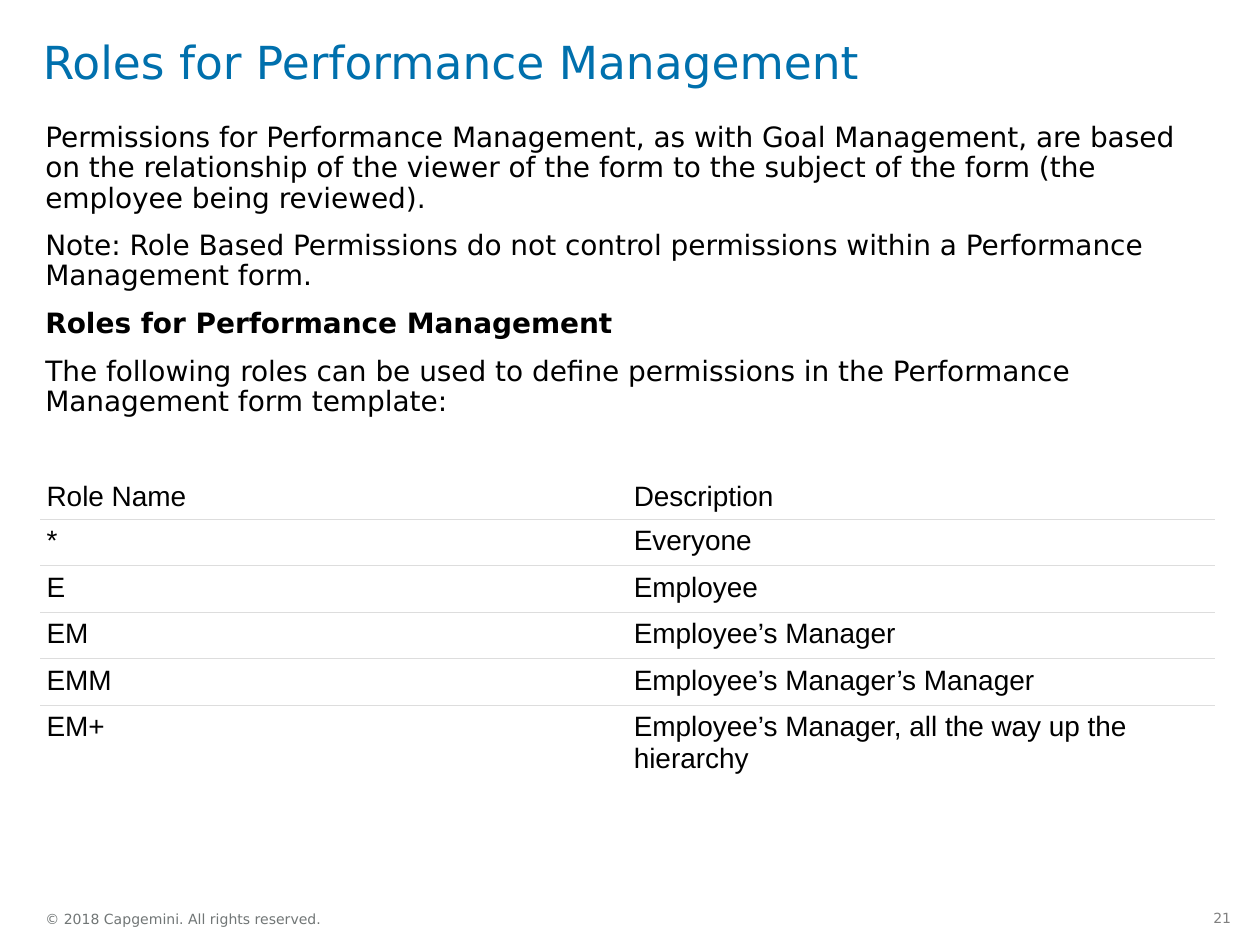
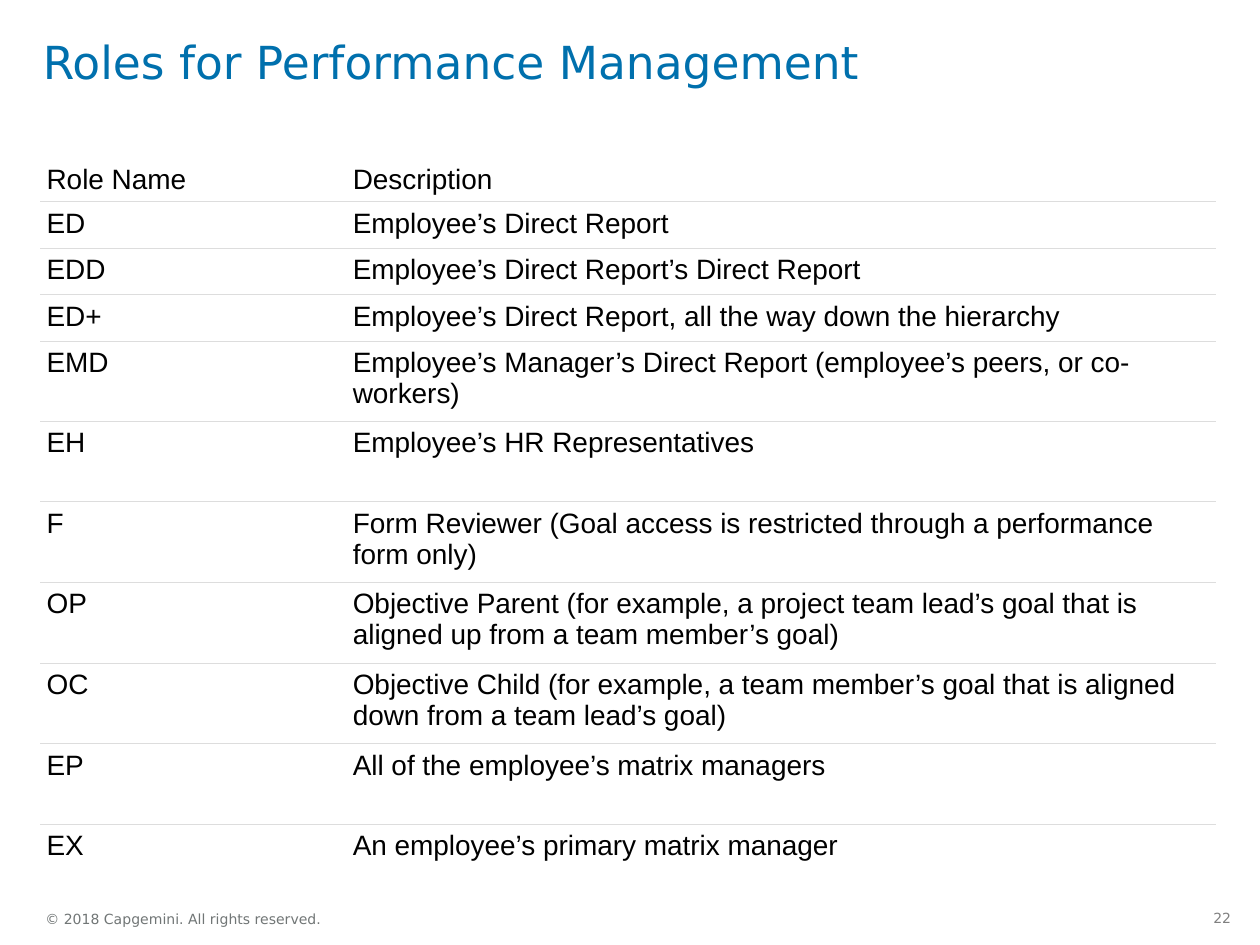
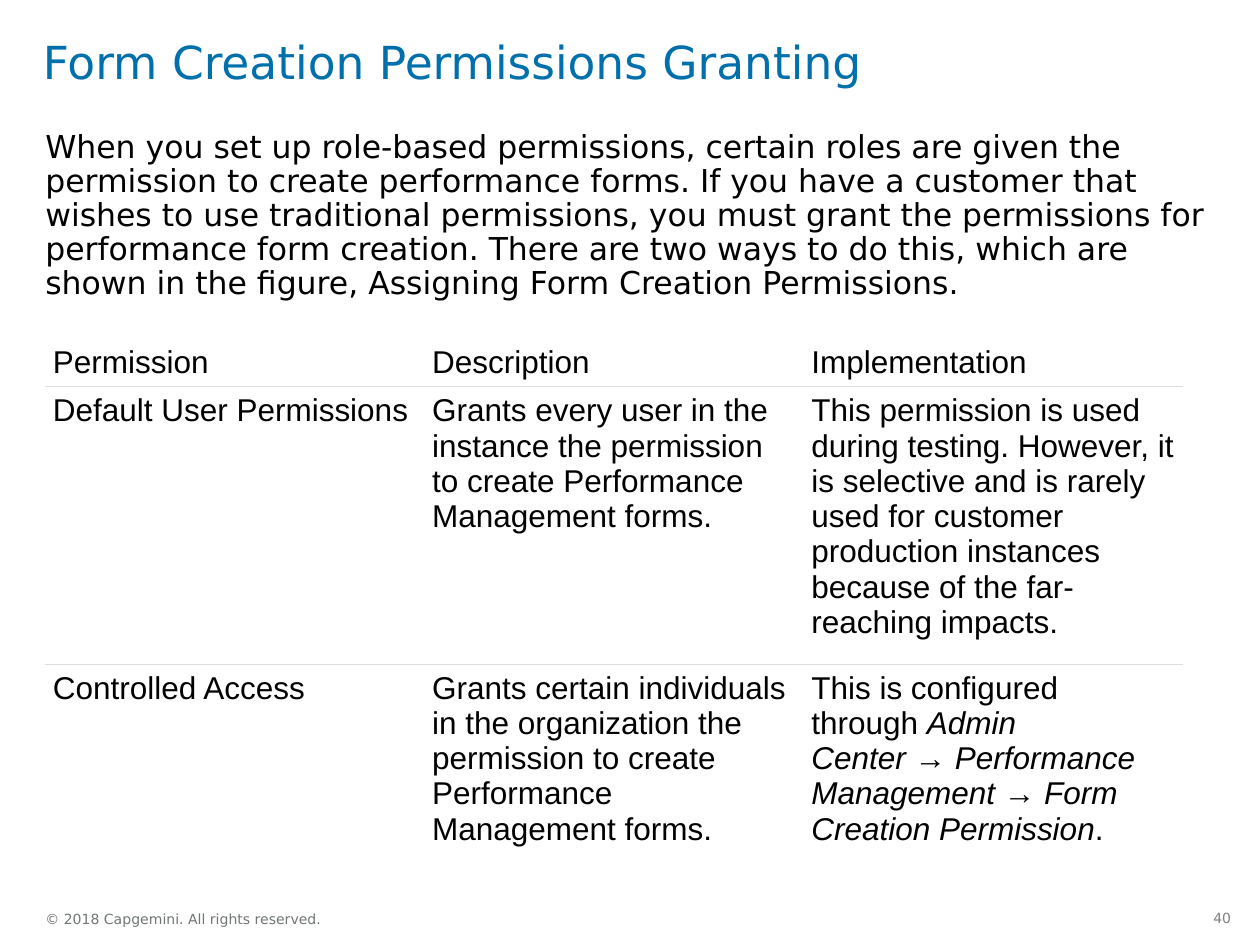
from pptx import Presentation
from pptx.dml.color import RGBColor
from pptx.enum.text import MSO_ANCHOR as ANCHOR, MSO_AUTO_SIZE as AUTO, PP_ALIGN as ALIGN
from pptx.oxml import parse_xml
from pptx.oxml.ns import nsdecls, qn
from pptx.util import Inches, Pt

BLUE = RGBColor(0x00, 0x70, 0xAD)
BLACK = RGBColor(0x00, 0x00, 0x00)
WHITE = RGBColor(0xFF, 0xFF, 0xFF)
FOOTER_GRAY = RGBColor(0x71, 0x76, 0x76)
NUMBER_GRAY = RGBColor(0x80, 0x80, 0x80)
RULE_GRAY = RGBColor(0xDD, 0xDD, 0xDD)
TEXT_FONT, TABLE_FONT = "DejaVu Sans", "Arial"
PLAIN_TABLE = "{2D5ABB26-0587-4C30-8999-92F81FD0307C}"
TITLE_ONLY, TITLE_BODY = 5, 1
NBSP = chr(160)

TITLE_BOX = (0.34, 0.29, 9.31, 0.94)
FOOTER_BOX = (0.36, 7.17, 2.2, 0.24)
NUMBER_BOX = (9.48, 7.17, 0.39, 0.24)
COPYRIGHT = "© 2018 Capgemini. All rights reserved."

ROLES_INTRO = [
    "Permissions for Performance Management, as with Goal Management, are based on the "
    "relationship of the viewer of the form to the subject of the form (the employee being "
    "reviewed).",
    "Note: Role Based Permissions do not control permissions within a Performance Management "
    "form.",
    "_Roles for Performance Management_",
    "The following roles can be used to define permissions in the Performance Management form "
    "template:",
]
MANAGER_ROLES = [
    ("Role Name", "Description"),
    ("*", "Everyone"),
    ("E", "Employee"),
    ("EM", "Employee’s Manager"),
    ("EMM", "Employee’s Manager’s Manager"),
    ("EM+", "Employee’s Manager, all the way up the hierarchy"),
]
OTHER_ROLES = [
    ("Role Name", "Description"),
    ("ED", "Employee’s Direct Report"),
    ("EDD", "Employee’s Direct Report’s Direct Report"),
    ("ED+", "Employee’s Direct Report, all the way down the hierarchy"),
    ("EMD", "Employee’s Manager’s Direct Report (employee’s peers, or co-workers)"),
    ("EH", "Employee’s HR Representatives"),
    ("F", "Form Reviewer (Goal access is restricted through a performance form only)"),
    ("OP", "Objective Parent (for example, a project team lead’s goal that is aligned up from "
           "a team member’s goal)"),
    ("OC", "Objective Child (for example, a team member’s goal that is aligned down from a "
           "team lead’s goal)"),
    ("EP", "All of the employee’s matrix managers"),
    ("EX", "An employee’s primary matrix manager"),
]
CREATION_INTRO = [
    "When you set up role-based permissions, certain roles are given the permission to create "
    "performance forms. If you have a customer that wishes to use traditional permissions, you "
    "must grant the permissions for performance form creation. There are two ways to do this, "
    "which are shown in the figure, Assigning Form Creation Permissions.",
]
ARROW = f"{NBSP}→{NBSP}"
CREATION_PERMISSIONS = [
    ("Permission", "Description", "Implementation"),
    ("Default User Permissions",
     "Grants every user in the instance the permission to create Performance Management forms.",
     "This permission is used during testing. However, it is selective and is rarely used for "
     "customer production instances because of the far-reaching impacts."),
    ("Controlled Access",
     "Grants certain individuals in the organization the permission to create Performance "
     "Management forms.",
     f"This is configured through{NBSP}_Admin Center_{ARROW}_Performance Management_{ARROW}"
     "_Form Creation Permission_."),
]


def apply(target, **values):
    for name, value in values.items():
        setattr(target, name, value)


def place(sp, box):
    sp.left, sp.top, sp.width, sp.height = map(Inches, box)


def set_margins(target, side, top):
    x, y = Inches(side), Inches(top)
    apply(target, margin_left=x, margin_right=x, margin_top=y, margin_bottom=y)


def add_runs(p, text, size, color, font=TEXT_FONT, accent="bold"):
    for i, part in enumerate(text.split("_")):
        if part:
            r = p.add_run()
            r.text = part
            apply(r.font, name=font, size=Pt(size), **{accent: i % 2 == 1})
            r.font.color.rgb = color


def prepare_frame(sp, box):
    place(sp, box)
    tf = sp.text_frame
    set_margins(tf, 0, 0)
    apply(tf, vertical_anchor=ANCHOR.TOP, word_wrap=True, auto_size=AUTO.NONE)
    return tf


def add_title(s, text):
    p = prepare_frame(s.shapes.title, TITLE_BOX).paragraphs[0]
    apply(p, alignment=ALIGN.LEFT, line_spacing=Pt(30))
    add_runs(p, text, 26, BLUE)


def add_body(s, box, paragraphs, size):
    tf = prepare_frame(s.placeholders[1], box)
    for i, text in enumerate(paragraphs):
        p = tf.add_paragraph() if i else tf.paragraphs[0]
        pPr = p._p.get_or_add_pPr()
        pPr.set("marL", "0")
        pPr.set("indent", "0")
        pPr.append(parse_xml(f"<a:buNone {nsdecls('a')}/>"))
        apply(p, line_spacing=0.9, space_before=Pt(10 if i else 0))
        add_runs(p, text, size, BLACK)


def add_label(s, box, text, color, side, top, anchor, align):
    tf = s.shapes.add_textbox(*map(Inches, box)).text_frame
    set_margins(tf, side, top)
    apply(tf, vertical_anchor=anchor, word_wrap=False)
    p = tf.paragraphs[0]
    p.alignment = align
    add_runs(p, text, 8, color)


def add_footer(s, number):
    add_label(s, FOOTER_BOX, COPYRIGHT, FOOTER_GRAY, 0, 0, ANCHOR.MIDDLE, ALIGN.LEFT)
    add_label(s, NUMBER_BOX, str(number), NUMBER_GRAY, 0.1, 0.05, ANCHOR.TOP, ALIGN.RIGHT)


def add_rule(cell, edge):
    cell._tc.get_or_add_tcPr().append(parse_xml(
        f'<a:{edge} {nsdecls("a")} w="6350"><a:solidFill><a:srgbClr val="{RULE_GRAY}"/>'
        f"</a:solidFill></a:{edge}>"))


def add_grid(s, left, top, widths, heights, rows, size, side=0.05):
    frame = s.shapes.add_table(len(rows), len(widths), Inches(left), Inches(top),
                               Inches(sum(widths)), Inches(sum(heights)))
    table = frame.table
    apply(table, first_row=False, horz_banding=False)
    table._tbl.tblPr.find(qn("a:tableStyleId")).text = PLAIN_TABLE
    for column, width in zip(table.columns, widths):
        column.width = Inches(width)
    for i, (row, height, texts) in enumerate(zip(table.rows, heights, rows)):
        row.height = Inches(height)
        for cell, text in zip(row.cells, texts):
            set_margins(cell, side, 0.05)
            cell.vertical_anchor = ANCHOR.TOP if i else ANCHOR.BOTTOM
            if i:
                add_rule(cell, "lnT")
            if i < len(rows) - 1:
                add_rule(cell, "lnB")
            cell.fill.solid()
            cell.fill.fore_color.rgb = WHITE
            add_runs(cell.text_frame.paragraphs[0], text, size, BLACK, TABLE_FONT, "italic")


def add_slide(prs, layout, title, number):
    s = prs.slides.add_slide(prs.slide_layouts[layout])
    add_footer(s, number)
    add_title(s, title)
    return s


def main():
    prs = Presentation()
    prs.slide_width, prs.slide_height = Inches(10), Inches(7.5)

    s = add_slide(prs, TITLE_BODY, "Roles for Performance Management", 21)
    add_body(s, (0.36, 0.98, 9.29, 5.92), ROLES_INTRO, 16)
    add_grid(s, 0.32, 3.75, [4.66] * 2, [0.37] * 5 + [0.64], MANAGER_ROLES, 16)

    s = add_slide(prs, TITLE_ONLY, "Roles for Performance Management", 22)
    add_grid(s, 0.32, 1.23, [2.43, 6.9], [0.37] * 4 + [0.61] + [0.64] * 6, OTHER_ROLES, 16)

    s = add_slide(prs, TITLE_BODY, "Form Creation Permissions Granting", 40)
    add_body(s, (0.36, 1.04, 9.29, 5.86), CREATION_INTRO, 18)
    add_grid(s, 0.36, 2.67, [3.01] * 3, [0.39, 2.07, 1.77], CREATION_PERMISSIONS, 18, 0.06)

    prs.save("out.pptx")


if __name__ == "__main__":
    main()
